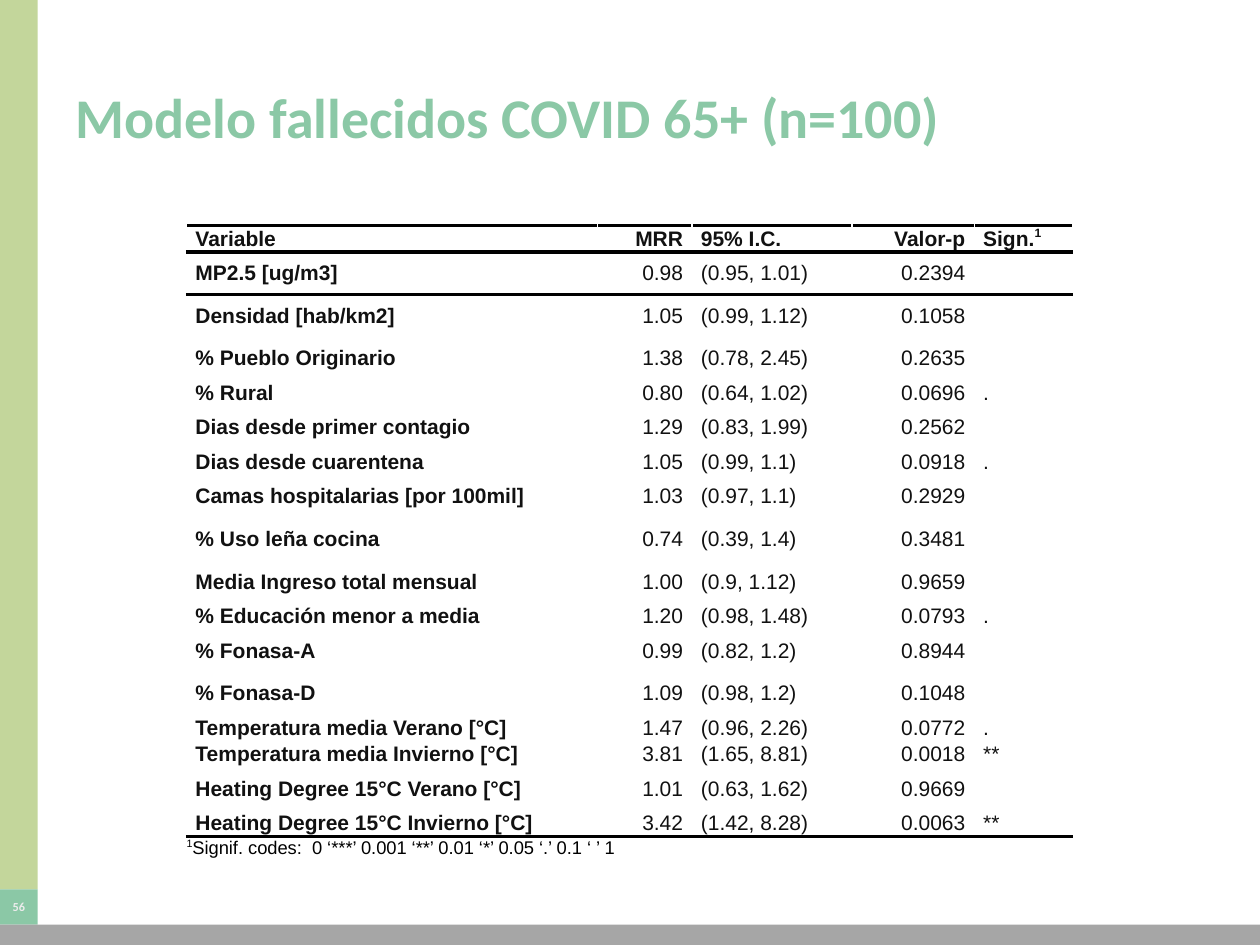
from lxml import etree
from pptx import Presentation
from pptx.dml.color import RGBColor
from pptx.enum.shapes import MSO_SHAPE
from pptx.enum.text import MSO_ANCHOR, PP_ALIGN
from pptx.oxml.ns import qn
from pptx.util import Cm, Pt

RECTANGLE = MSO_SHAPE.RECTANGLE
MIDDLE = MSO_ANCHOR.MIDDLE
LEFT, CENTER, RIGHT = PP_ALIGN.LEFT, PP_ALIGN.CENTER, PP_ALIGN.RIGHT

COLORS = {
    "sidebar": "C3D69B",
    "accent": "8BC8A6",
    "footer": "A6A6A6",
    "number": "ECECEC",
    "text": "111111",
    "black": "000000",
}

HEADER = ("Variable", "MRR", "95% I.C.", "Valor-p", "Sign.")
RESULTS = [
    ("MP2.5 [ug/m3]", "0.98", "(0.95, 1.01)", "0.2394", ""),
    ("Densidad [hab/km2]", "1.05", "(0.99, 1.12)", "0.1058", ""),
    ("% Pueblo Originario", "1.38", "(0.78, 2.45)", "0.2635", ""),
    ("% Rural", "0.80", "(0.64, 1.02)", "0.0696", "."),
    ("Dias desde primer contagio", "1.29", "(0.83, 1.99)", "0.2562", ""),
    ("Dias desde cuarentena", "1.05", "(0.99, 1.1)", "0.0918", "."),
    ("Camas hospitalarias [por 100mil]", "1.03", "(0.97, 1.1)", "0.2929", ""),
    ("% Uso leña cocina", "0.74", "(0.39, 1.4)", "0.3481", ""),
    ("Media Ingreso total mensual", "1.00", "(0.9, 1.12)", "0.9659", ""),
    ("% Educación menor a media", "1.20", "(0.98, 1.48)", "0.0793", "."),
    ("% Fonasa-A", "0.99", "(0.82, 1.2)", "0.8944", ""),
    ("% Fonasa-D", "1.09", "(0.98, 1.2)", "0.1048", ""),
    ("Temperatura media Verano [°C]", "1.47", "(0.96, 2.26)", "0.0772", "."),
    ("Temperatura media Invierno [°C]", "3.81", "(1.65, 8.81)", "0.0018", "**"),
    ("Heating Degree 15°C Verano [°C]", "1.01", "(0.63, 1.62)", "0.9669", ""),
    ("Heating Degree 15°C Invierno [°C]", "3.42", "(1.42, 8.28)", "0.0063", "**"),
]
NOTE = "Signif. codes:  0 ‘***’ 0.001 ‘**’ 0.01 ‘*’ 0.05 ‘.’ 0.1 ‘ ’ 1"
COLUMN_SHARES = (3.26, 0.75, 1.27, 0.97, 0.78)
ALIGNMENTS = (LEFT, RIGHT, LEFT, RIGHT, LEFT)
ROW_HEIGHT, OPEN_ROW_HEIGHT, NOTE_HEIGHT = 0.53, 0.86, 0.46
CELL_PADDING = 0.18


def color(name):
    return RGBColor.from_string(COLORS[name])


def format_run(run, size, color_name, bold=False, font_name="Arial"):
    run.font.name = font_name
    run.font.size = Pt(size)
    run.font.bold = bold
    run.font.color.rgb = color(color_name)


def add_superscript(paragraph, text, size, color_name, bold=False):
    run = paragraph.add_run()
    run.text = text
    format_run(run, size, color_name, bold)
    run._r.get_or_add_rPr().set("baseline", "40000")


def add_band(slide, left, top, width, height, color_name):
    band = slide.shapes.add_shape(RECTANGLE, Cm(left), Cm(top), Cm(width), Cm(height))
    band.shadow.inherit = False
    band.fill.solid()
    band.fill.fore_color.rgb = color(color_name)
    band.line.fill.background()
    return band


def add_frame(slide, left, top, width, height):
    bar, footer_height = 0.76, 0.41
    footer_top = top + height - footer_height
    side_height = footer_top - 0.71
    sidebar = add_band(slide, left + (bar - side_height) / 2, top + (side_height - bar) / 2,
                       side_height, bar, "sidebar")
    sidebar.rotation = 90
    number = add_band(slide, left, side_height, bar, footer_top - side_height, "accent")
    text_frame = number.text_frame
    text_frame.margin_left = text_frame.margin_right = 0
    text_frame.margin_top = text_frame.margin_bottom = 0
    text_frame.vertical_anchor = MIDDLE
    text_frame.text = "56"
    paragraph = text_frame.paragraphs[0]
    paragraph.alignment = CENTER
    format_run(paragraph.runs[0], 7, "number", True, "Calibri")
    add_band(slide, left, footer_top, width, footer_height, "footer")


def add_title(slide, left, top, width, height):
    title = slide.shapes.add_textbox(Cm(left), Cm(top), Cm(width), Cm(height))
    text_frame = title.text_frame
    text_frame.word_wrap = True
    text_frame.vertical_anchor = MIDDLE
    text_frame.text = "Modelo fallecidos COVID 65+ (n=100)"
    format_run(text_frame.paragraphs[0].runs[0], 32, "accent", True, "Calibri")


def add_rule(cell, side):
    line = etree.Element(qn(f"a:ln{side}"), w=str(Pt(2)))
    fill = etree.SubElement(line, qn("a:solidFill"))
    etree.SubElement(fill, qn("a:srgbClr"), val=COLORS["black"])
    cell._tc.get_or_add_tcPr().insert(0, line)


def prepare_cell(cell, padding):
    cell.margin_left = cell.margin_right = Cm(padding)
    cell.margin_top = cell.margin_bottom = 0
    cell.vertical_anchor = MIDDLE
    cell.fill.background()


def add_results_table(slide, left, top, width, height):
    rows = [HEADER, *RESULTS]
    note_row = len(rows)
    table = slide.shapes.add_table(note_row + 1, len(HEADER), Cm(left), Cm(top),
                                   Cm(width), Cm(height)).table
    table.first_row = table.horz_banding = False
    for column, share in zip(table.columns, COLUMN_SHARES):
        column.width = Cm(round(width * share / sum(COLUMN_SHARES), 2))

    for row_index, values in enumerate(rows):
        table.rows[row_index].height = Cm(ROW_HEIGHT if values[-1] else OPEN_ROW_HEIGHT)
        for column_index, value in enumerate(values):
            cell = table.cell(row_index, column_index)
            prepare_cell(cell, CELL_PADDING)
            if value:
                cell.text_frame.text = value
                paragraph = cell.text_frame.paragraphs[0]
                paragraph.alignment = ALIGNMENTS[column_index]
                bold = row_index == 0 or column_index == 0
                format_run(paragraph.runs[0], 12, "text", bold)
    add_superscript(table.cell(0, len(HEADER) - 1).text_frame.paragraphs[0],
                    "1", 12, "text", True)

    table.rows[note_row].height = Cm(NOTE_HEIGHT)
    note = table.cell(note_row, 0)
    note.merge(table.cell(note_row, len(HEADER) - 1))
    for column_index in range(len(HEADER)):
        prepare_cell(table.cell(note_row, column_index), 0)
        for row_index in (0, note_row - 1):
            add_rule(table.cell(row_index, column_index), "B")
        for row_index in (0, 1, note_row):
            add_rule(table.cell(row_index, column_index), "T")
    paragraph = note.text_frame.paragraphs[0]
    add_superscript(paragraph, "1", 10.5, "black")
    run = paragraph.add_run()
    run.text = NOTE
    format_run(run, 10.5, "black")


def main():
    presentation = Presentation()
    presentation.slide_width = Cm(25.4)
    presentation.slide_height = Cm(19.05)
    slide = presentation.slides.add_slide(presentation.slide_layouts[6])
    add_frame(slide, 0, 0, 25.4, 19.05)
    add_title(slide, 1.27, 0.76, 22.86, 3.18)
    add_results_table(slide, 3.76, 4.55, 17.86, 12.85)
    presentation.save("out.pptx")


if __name__ == "__main__":
    main()
